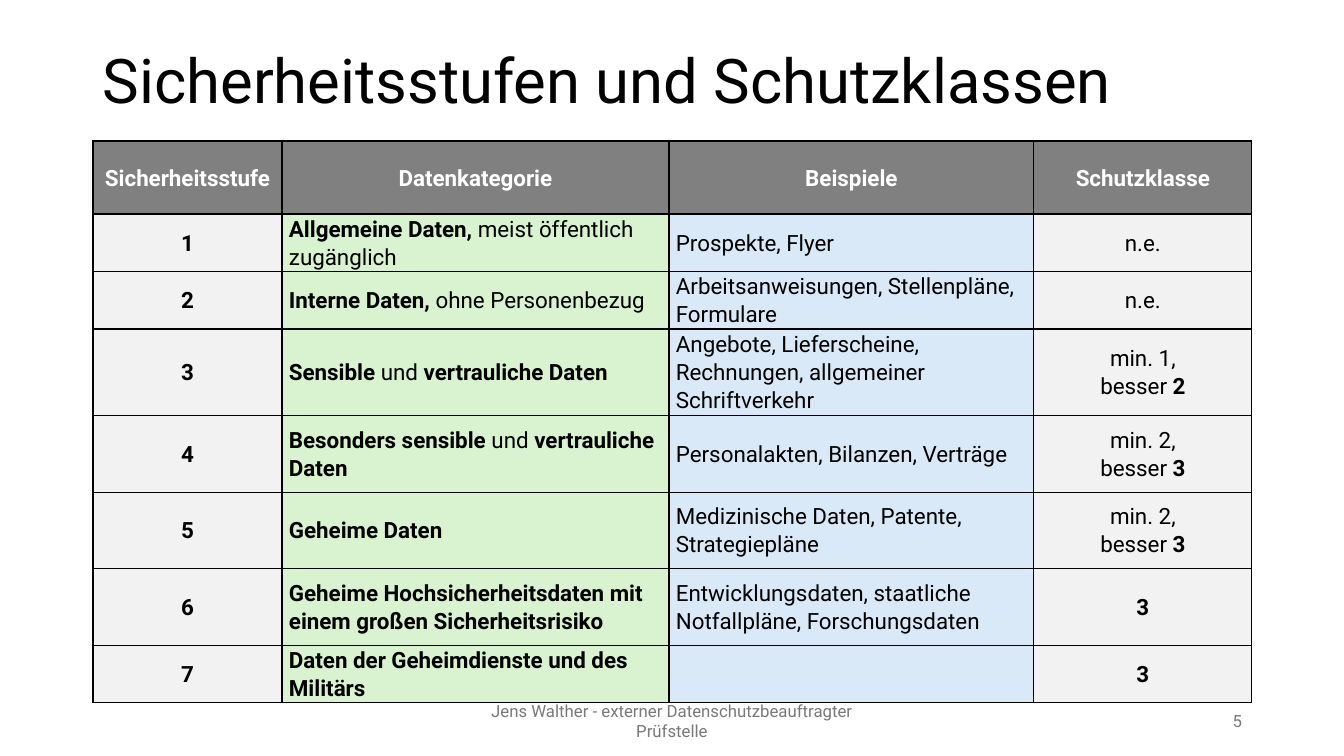
from lxml import etree
from pptx import Presentation
from pptx.dml.color import RGBColor
from pptx.enum.text import MSO_ANCHOR, PP_ALIGN
from pptx.oxml.ns import qn
from pptx.util import Pt

PX = 914400 / 100.8
FONT = "Roboto"
COLORS = {
    "black": "000000", "white": "FFFFFF", "footer": "797979", "header": "808080",
    "gray": "F2F2F2", "green": "D9F2D0", "blue": "DAE9F7",
}


def px(value):
    """Turn pixels into EMU."""
    return round(value * PX)


def write(paragraph, text, size, color, align):
    """Fill a paragraph; ** toggles bold and a newline breaks the line."""
    paragraph.alignment = align
    for i, part in enumerate(text.split("**")):
        for j, line in enumerate(part.split("\n")):
            if j:
                paragraph.add_line_break()
            if line:
                run = paragraph.add_run()
                run.text = line
                run.font.name = FONT
                run.font.size = Pt(size)
                run.font.bold = i % 2 == 1
                run.font.color.rgb = RGBColor.from_string(COLORS[color])


prs = Presentation()
prs.slide_width, prs.slide_height = px(1344), px(756)
slide = prs.slides.add_slide(prs.slide_layouts[6])

# Title, footer and slide number
LEFT, CENTER, RIGHT = PP_ALIGN.LEFT, PP_ALIGN.CENTER, PP_ALIGN.RIGHT
texts = [
    ("Sicherheitsstufen und Schutzklassen", (93, 40, 1159, 87), 44, "black", LEFT, 0.9),
    ("Jens Walther - externer Datenschutzbeauftragter Prüfstelle",
     (445, 701, 454, 40), 12, "footer", CENTER, 1.0),
    ("5", (950, 701, 302, 40), 12, "footer", RIGHT, 1.0),
]
for text, box, size, color, align, spacing in texts:
    frame = slide.shapes.add_textbox(*map(px, box)).text_frame
    frame.word_wrap = True
    frame.vertical_anchor = MSO_ANCHOR.MIDDLE
    frame.paragraphs[0].line_spacing = spacing
    write(frame.paragraphs[0], text, size, color, align)

# Table of security levels
rows = [
    ("**Sicherheitsstufe**", "**Datenkategorie**", "**Beispiele**", "**Schutzklasse**"),
    ("**1**", "**Allgemeine Daten, **meist öffentlich zugänglich", "Prospekte, Flyer", "n.e."),
    ("**2**", "**Interne Daten, **ohne Personenbezug",
     "Arbeitsanweisungen, Stellenpläne, Formulare", "n.e."),
    ("**3**", "**Sensible** und** vertrauliche Daten**",
     "Angebote, Lieferscheine, Rechnungen, allgemeiner Schriftverkehr",
     "min. 1,\nbesser **2**"),
    ("**4**", "**Besonders sensible **und** vertrauliche Daten**",
     "Personalakten, Bilanzen, Verträge", "min. 2,\nbesser **3**"),
    ("**5**", "**Geheime Daten**", "Medizinische Daten, Patente, Strategiepläne",
     "min. 2,\nbesser **3**"),
    ("**6**", "**Geheime Hochsicherheitsdaten mit einem großen Sicherheitsrisiko**",
     "Entwicklungsdaten, staatliche Notfallpläne, Forschungsdaten", "**3**"),
    ("**7**", "**Daten der Geheimdienste und des Militärs**", "", "**3**"),
]
column_widths = [189, 387, 365, 218]
row_heights = [73, 56, 55, 84, 77, 76, 77, 56]
column_fills = ["gray", "green", "blue", "gray"]
column_aligns = [CENTER, LEFT, LEFT, CENTER]

table = slide.shapes.add_table(
    len(rows), len(column_widths), px(93), px(141),
    px(sum(column_widths)), px(sum(row_heights))).table
table.first_row = table.horz_banding = False
for column, width in zip(table.columns, column_widths):
    column.width = px(width)

for r, (values, height) in enumerate(zip(rows, row_heights)):
    table.rows[r].height = px(height)
    for c, text in enumerate(values):
        cell = table.cell(r, c)
        cell.vertical_anchor = MSO_ANCHOR.MIDDLE
        cell.margin_left = cell.margin_right = px(7)
        cell.margin_top = cell.margin_bottom = 0
        properties = cell._tc.get_or_add_tcPr()
        for side in ("a:lnL", "a:lnR", "a:lnT", "a:lnB"):
            line = etree.SubElement(properties, qn(side), w=str(Pt(1)))
            fill = etree.SubElement(line, qn("a:solidFill"))
            etree.SubElement(fill, qn("a:srgbClr"), val=COLORS["black"])
        fill_name = column_fills[c] if r else "header"
        cell.fill.solid()
        cell.fill.fore_color.rgb = RGBColor.from_string(COLORS[fill_name])
        paragraph = cell.text_frame.paragraphs[0]
        paragraph.line_spacing = 1.07
        paragraph.space_after = Pt(8)
        write(paragraph, text, 16, "black" if r else "white",
              column_aligns[c] if r else CENTER)

prs.save("out.pptx")
